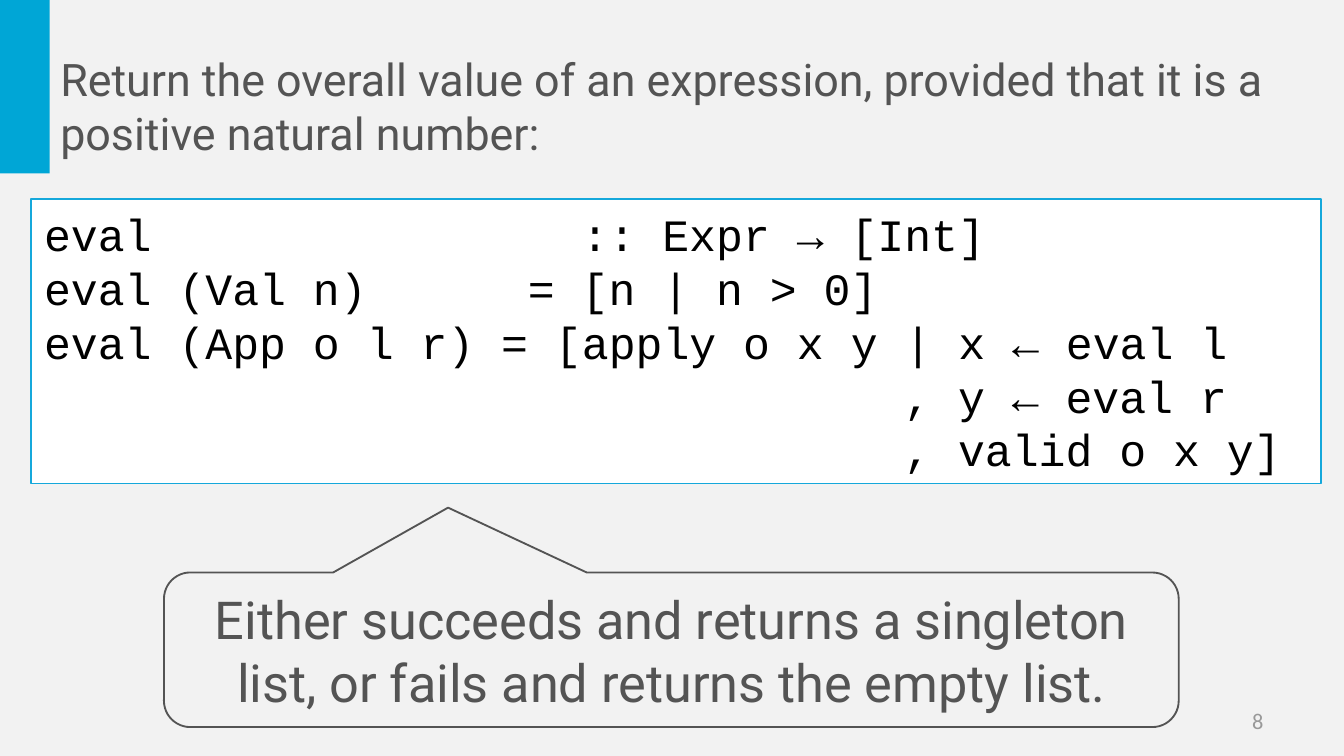
from lxml import etree
from pptx import Presentation
from pptx.dml.color import RGBColor
from pptx.enum import shapes, text
from pptx.oxml import ns
from pptx.util import Inches, Pt

COLOURS = {
    "page": "F2F2F2", "accent": "00A6D6", "border": "15A8DB",
    "code_fill": "FFFFFF", "code": "000000", "body": "545454", "number": "999999",
}
PAGE_WIDTH = 10
PAGE_HEIGHT = PAGE_WIDTH * 9 / 16

TITLE = ("Return the overall value of an expression, "
         "provided that it is a positive natural number:")
CALLOUT = ("Either succeeds and returns a singleton list, "
           "or fails and returns the empty list.")
PAGE_NUMBER = "8"
# Each line of code, with the character column its tab jumps to
CODE = [
    ("eval\t:: Expr → [Int]", 20),
    ("eval (Val n)\t= [n | n > 0]", 18),
    ("eval (App o l r) = [apply o x y | x ← eval l", None),
    ("\t, y ← eval r", 32),
    ("\t, valid o x y]", 32),
]
CODE_COLUMN = 0.2  # width of one 24 pt monospaced character, in inches

FORMATS = {
    "title": {"name": "Roboto", "size": Pt(24)},
    "code": {"name": "Courier New", "size": Pt(24)},
    "callout": {"name": "Roboto", "size": Pt(28)},
    "number": {"name": "Calibri", "size": Pt(12)},
}


def colour(name):
    return RGBColor.from_string(COLOURS[name])


def add_box(page, preset, at, fill=None, line=None, width=0):
    box = page.shapes.add_shape(preset, *map(Inches, at))
    box.shadow.inherit = False
    if fill:
        box.fill.solid()
        box.fill.fore_color.rgb = colour(fill)
    else:
        box.fill.background()
    if line:
        box.line.color.rgb = colour(line)
        box.line.width = Pt(width)
    else:
        box.line.fill.background()
    return box


def write(box, lines, style, ink, align):
    frame = box.text_frame
    frame.word_wrap = True
    frame.vertical_anchor = text.MSO_ANCHOR.MIDDLE
    for index, line in enumerate(lines):
        para = frame.paragraphs[0] if index == 0 else frame.add_paragraph()
        para.alignment = align
        span = para.add_run()
        span.text = line
        span.font.color.rgb = colour(ink)
        for key, value in FORMATS[style].items():
            setattr(span.font, key, value)
    return frame.paragraphs


def add_tab_stop(para, column):
    properties = para._p.get_or_add_pPr()
    stops = etree.SubElement(properties, ns.qn("a:tabLst"))
    etree.SubElement(stops, ns.qn("a:tab"), algn="l",
                     pos=str(Inches(column * CODE_COLUMN)))


def main():
    deck = Presentation()
    deck.slide_width, deck.slide_height = Inches(PAGE_WIDTH), Inches(PAGE_HEIGHT)
    page = deck.slides.add_slide(deck.slide_layouts[6])
    page.background.fill.solid()
    page.background.fill.fore_color.rgb = colour("page")
    preset, align = shapes.MSO_SHAPE, text.PP_ALIGN

    add_box(page, preset.RECTANGLE, (0, 0, 0.37, 1.29), "accent")

    number = page.shapes.add_textbox(*map(Inches, (7.17, 5.21, 2.33, 0.3)))
    write(number, [PAGE_NUMBER], "number", "number", align.RIGHT)

    code = add_box(page, preset.RECTANGLE, (0.23, 1.48, 9.6, 2.12),
                   "code_fill", "border", 0.75)
    paras = write(code, [line for line, _ in CODE], "code", "code", align.LEFT)
    for para, (_, column) in zip(paras, CODE):
        if column:
            add_tab_stop(para, column)

    title = page.shapes.add_textbox(*map(Inches, (0.35, 0.33, 9.15, 0.91)))
    write(title, [TITLE], "title", "body", align.LEFT)

    callout = add_box(page, preset.ROUNDED_RECTANGULAR_CALLOUT,
                      (1.22, 4.26, 7.55, 1.15), line="body", width=1)
    for index, value in enumerate((-0.22, -0.92, 0.17)):
        callout.adjustments[index] = value
    write(callout, [CALLOUT], "callout", "body", align.CENTER)

    deck.save("out.pptx")


if __name__ == "__main__":
    main()
